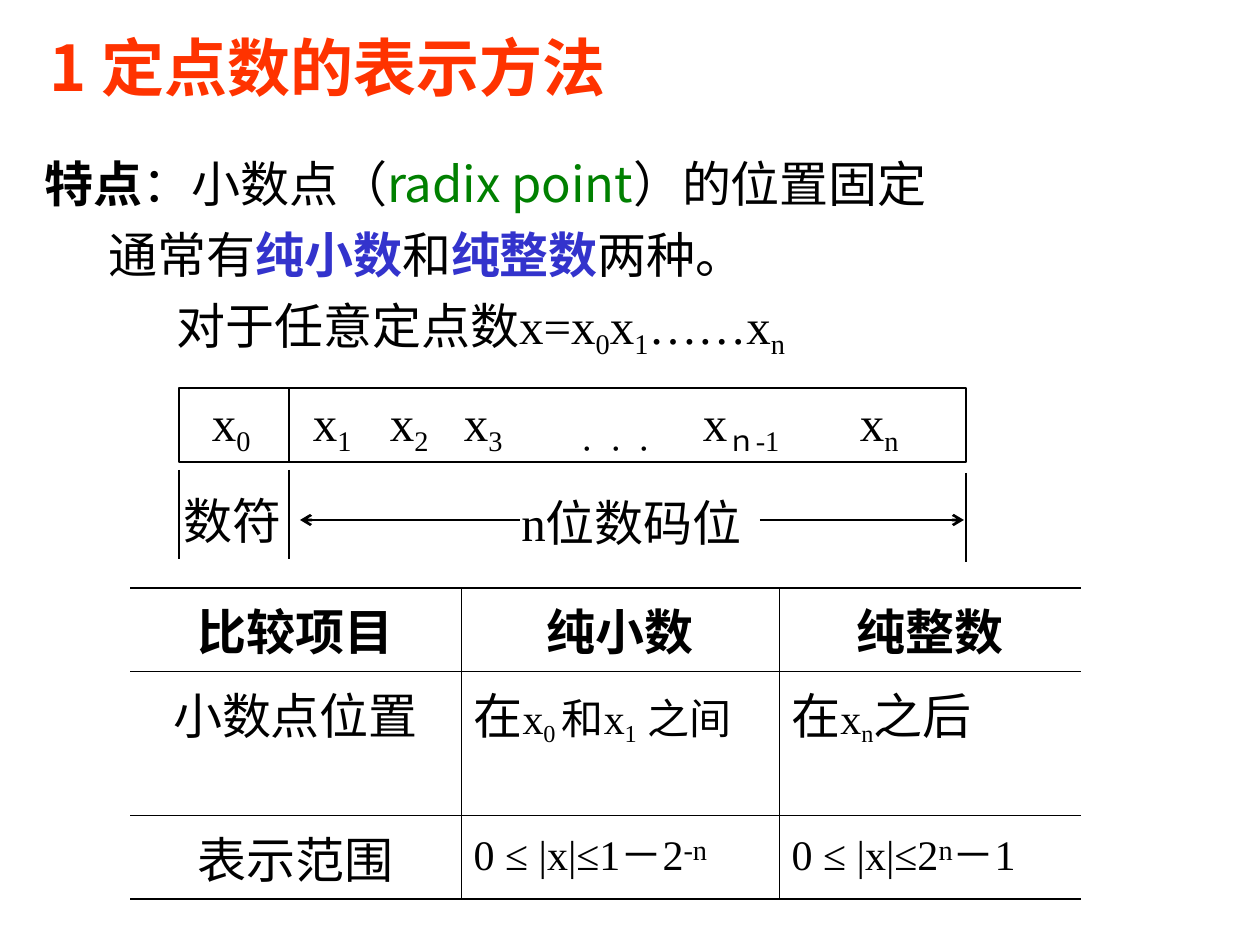
from pptx import Presentation
from pptx.dml.color import RGBColor
from pptx.enum.shapes import MSO_CONNECTOR, MSO_SHAPE
from pptx.enum.text import MSO_ANCHOR, MSO_AUTO_SIZE, PP_ALIGN
from pptx.oxml.ns import qn
from pptx.util import Emu, Pt
from lxml.etree import SubElement

PX = 914400 // 126
SANS, SERIF = "Noto Sans CJK SC", "Times New Roman"
BLACK, RED, GREEN, BLUE = "000000", "FF3300", "008000", "3333CC"


def run(text, size=28, face=SERIF, color=BLACK, bold=False, base=0):
    return text, size, face, color, bold, base


def sub(text, size=28):
    return run(text, size, base=-20)


# Content
TITLE = [run("1 定点数的表示方法", 36, SANS, RED, True)]
BODY = [  # left margin in px, runs
    (0, [run("特点", face=SANS, bold=True), run("：小数点（", face=SANS),
         run("radix point", face=SANS, color=GREEN), run("）的位置固定", face=SANS)]),
    (64, [run("通常有", face=SANS), run("纯小数", face=SANS, color=BLUE, bold=True),
          run("和", face=SANS), run("纯整数", face=SANS, color=BLUE, bold=True),
          run("两种。", face=SANS)]),
    (132, [run("对于任意定点数x=x"), sub("0"), run("x"), sub("1"), run("……x"), sub("n")]),
]
REGISTER = [  # px from the left edge of the register, runs
    (33, [run("x"), sub("0")]),
    (134, [run("x"), sub("1")]),
    (211, [run("x"), sub("2")]),
    (285, [run("x"), sub("3")]),
    (402, [sub("．．．")]),
    (524, [run("x"), sub("ｎ-1")]),
    (681, [run("x"), sub("n")]),
]
LABELS = [(171, 484, 130, "数符"), (509, 486, 257, "n位数码位")]
TICKS = [(179, 470), (289, 470), (966, 473)]
ARROWS = [(760, 964, "tailEnd"), (300, 520, "headEnd")]
COLUMNS, ROWS = [331, 318, 302], [72, 125, 72]
TABLE = [
    [[run(name, bold=True)] for name in ("比较项目", "纯小数", "纯整数")],
    [[run("小数点位置")],
     [run("在"), run("x", 24), sub("0 ", 24), run("和x", 24), sub("1", 24), run(" 之间", 24)],
     [run("在"), run("x", 24), sub("n", 24), run("之后")]],
    [[run("表示范围")],
     [run("0 ≤ |x|≤1－2", 24), run("-n", base=20)],
     [run("0 ≤ |x|≤2", 24), run("n", base=20), run("－1", 24)]],
]


def px(value):
    return Emu(value * PX)


def rgb(color):
    return RGBColor.from_string(color)


def write(para, runs):
    for text, size, face, color, bold, base in runs:
        span = para.add_run()
        span.text = text
        font = span.font
        font.size, font.bold, font.name = Pt(size), bold, face
        font.color.rgb = rgb(color)
        props = span._r.get_or_add_rPr()
        SubElement(props, qn("a:ea")).set("typeface", SANS)
        if base:
            props.set("baseline", str(base * 1000))


def place(shape, left, top, width, height):
    shape.left, shape.top, shape.width, shape.height = map(px, (left, top, width, height))


def add_line(shapes, x1, y1, x2, y2, width, arrow=None):
    line = shapes.add_connector(MSO_CONNECTOR.STRAIGHT, px(x1), px(y1), px(x2), px(y2))
    line.line.width = Pt(width)
    line.line.color.rgb = rgb(BLACK)
    if arrow:
        SubElement(line.line._get_or_add_ln(), qn(f"a:{arrow}")).set("type", "arrow")
    SubElement(line._element.spPr, qn("a:effectLst"))


def add_border(cell, side, width):
    edge = SubElement(cell._tc.get_or_add_tcPr(), qn(f"a:ln{side}"))
    edge.set("w", str(Pt(width)))
    if width:
        fill = SubElement(edge, qn("a:solidFill"))
        SubElement(fill, qn("a:srgbClr")).set("val", BLACK)
    else:
        SubElement(edge, qn("a:noFill"))


deck = Presentation()
deck.slide_width, deck.slide_height = px(1260), px(945)
page = deck.slides.add_slide(deck.slide_layouts[1])

# Title
title = page.shapes.title
place(title, 37, 35, 824, 63)
title.text_frame.vertical_anchor = MSO_ANCHOR.MIDDLE
title.text_frame.auto_size = MSO_AUTO_SIZE.NONE
para = title.text_frame.paragraphs[0]
para.alignment = PP_ALIGN.LEFT
write(para, TITLE)

# Introductory lines
body = page.placeholders[1]
place(body, 32, 147, 1197, 231)
frame = body.text_frame
frame.auto_size = MSO_AUTO_SIZE.NONE
for index, (margin, runs) in enumerate(BODY):
    para = frame.add_paragraph() if index else frame.paragraphs[0]
    para.line_spacing, para.space_before = 1.0, Pt(7)
    props = para._p.get_or_add_pPr()
    props.set("marL", str(px(margin)))
    props.set("indent", "0")
    SubElement(props, qn("a:buNone"))
    write(para, runs)

# Register: sign cell and digit cells, set on tab stops
register = page.shapes.add_group_shape()
box = register.shapes.add_shape(MSO_SHAPE.RECTANGLE, px(179), px(388), px(787), px(74))
box.shadow.inherit = False
box.fill.background()
box.line.color.rgb = rgb(BLACK)
box.line.width = Pt(0.75)
frame = box.text_frame
frame.word_wrap = True
frame.vertical_anchor = MSO_ANCHOR.MIDDLE
start = REGISTER[0][0]
frame.margin_left, frame.margin_right = px(start), 0
para = frame.paragraphs[0]
para.alignment = PP_ALIGN.LEFT
stops = SubElement(para._p.get_or_add_pPr(), qn("a:tabLst"))
for index, (offset, runs) in enumerate(REGISTER):
    if index:
        stop = SubElement(stops, qn("a:tab"))
        stop.set("pos", str(px(offset - start)))
        stop.set("algn", "l")
        write(para, [run("\t")])
    write(para, runs)
add_line(register.shapes, 289, 388, 289, 462, 0.75)

# Comparison table
table = page.shapes.add_table(3, 3, px(130), px(588), px(sum(COLUMNS)), px(sum(ROWS))).table
table.first_row = table.horz_banding = False
for column, width in zip(table.columns, COLUMNS):
    column.width = px(width)
for r, (height, cells) in enumerate(zip(ROWS, TABLE)):
    table.rows[r].height = px(height)
    for c, runs in enumerate(cells):
        cell = table.cell(r, c)
        para = cell.text_frame.paragraphs[0]
        para.space_before = Pt(7)
        para.alignment = PP_ALIGN.CENTER if r == 0 or c == 0 else PP_ALIGN.LEFT
        write(para, runs)
        add_border(cell, "L", 0.45 if c else 0)
        add_border(cell, "R", 0.45 if c < 2 else 0)
        add_border(cell, "T", 0.45 if r else 1.08)
        add_border(cell, "B", 0.45 if r < 2 else 1.08)
        cell.fill.background()
# Keep the last character of the point position on its own line
table.cell(1, 1).margin_right = px(24)

# Register captions, ticks and arrows
for left, top, width, text in LABELS:
    label = page.shapes.add_textbox(px(left), px(top), px(width), px(72))
    label.text_frame.word_wrap = False
    label.text_frame.auto_size = MSO_AUTO_SIZE.SHAPE_TO_FIT_TEXT
    write(label.text_frame.paragraphs[0], [run(text)])
for x, top in TICKS:
    add_line(page.shapes, x, top, x, top + 89, 1)
for x1, x2, arrow in ARROWS:
    add_line(page.shapes, x1, 520, x2, 520, 1.5, arrow)

deck.save("out.pptx")
